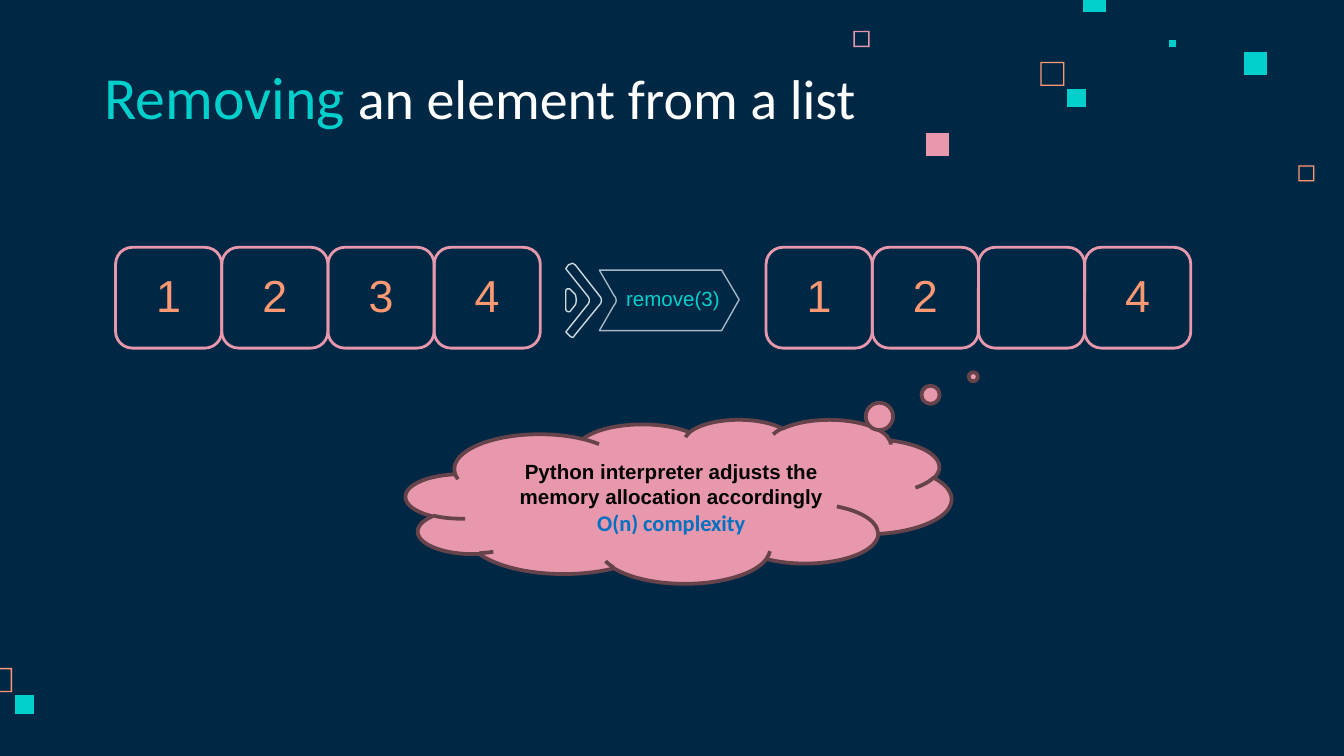
from dataclasses import dataclass

from lxml import etree
from pptx import Presentation
from pptx import util as u
from pptx.dml.color import RGBColor
from pptx.enum import shapes, text

# The page is a square grid: 100 columns by 56.25 rows
COLUMNS, ROWS = 100, 56.25
UNIT = u.Inches(0.1)
CELL_WIDTH, CELL_HEIGHT, CELL_TOP = 7.9, 7.5, 18.4
CURVE_STEPS = 8


@dataclass(frozen=True)
class Theme:
    navy: str = "002845"
    teal: str = "00CFCC"
    pink: str = "E898AC"
    orange: str = "FF9973"
    white: str = "FFFFFF"
    black: str = "000000"
    blue: str = "0070C0"
    plum: str = "66434B"
    pale: str = "CFD9E0"
    steel: str = "A5B7C5"
    heading: str = "Calibri"
    body: str = "Arial"
    title_size: float = 30
    accent_size: float = 32
    number_size: float = 24
    note_size: float = 11
    complexity_size: float = 12


THEME = Theme()


def grid(*lengths):
    return [round(length * UNIT) for length in lengths]


def paint(shape, fill=None, line=None, weight=0.75):
    shape.shadow.inherit = False
    if fill:
        shape.fill.solid()
        shape.fill.fore_color.rgb = RGBColor.from_string(fill)
    else:
        shape.fill.background()
    if line:
        shape.line.color.rgb = RGBColor.from_string(line)
        shape.line.width = u.Pt(weight)
    else:
        shape.line.fill.background()


def add_span(para, words, size, color, font, bold=False):
    span = para.add_run()
    span.text = words
    span.font.size = u.Pt(size)
    span.font.color.rgb = RGBColor.from_string(color)
    span.font.name = font
    span.font.bold = bold


def add_box(page, left, top, width, height, align=text.PP_ALIGN.LEFT):
    box = page.shapes.add_textbox(*grid(left, top, width, height))
    box.text_frame.word_wrap = True
    para = box.text_frame.paragraphs[0]
    para.alignment = align
    return box.text_frame, para


def curve_points(start, curve):
    """Points along a cubic curve, given as two controls and an end."""
    points = (start, *curve)
    for step in range(1, CURVE_STEPS + 1):
        t = step / CURVE_STEPS
        weights = ((1 - t) ** 3, 3 * t * (1 - t) ** 2, 3 * t * t * (1 - t), t ** 3)
        yield tuple(sum(w * p[axis] for w, p in zip(weights, points)) for axis in (0, 1))


def add_outline(page, contours, **style):
    """Closed contours; a step is a point or a curve of three points."""
    builder = None
    for start, *steps in contours:
        points = [start]
        for step in steps:
            points += curve_points(points[-1], step) if len(step) == 3 else [step]
        if builder is None:
            builder = page.shapes.build_freeform(*grid(*start))
        else:
            builder.move_to(*grid(*start))
        builder.add_line_segments([grid(*point) for point in points[1:]], close=True)
    paint(builder.convert_to_shape(), **style)


def add_square(page, left, top, side, color, hollow):
    right, bottom = left + side, top + side
    contours = [[(left, top), (left, bottom), (right, bottom), (right, top)]]
    if hollow:
        rim = 0.1
        contours.append([(left + rim, top + rim), (right - rim, top + rim),
                         (right - rim, bottom - rim), (left + rim, bottom - rim)])
    add_outline(page, contours, fill=color)


def add_list(page, left, values):
    for index, value in enumerate(values):
        x = left + index * CELL_WIDTH
        cell = page.shapes.add_shape(shapes.MSO_SHAPE.ROUNDED_RECTANGLE,
                                     *grid(x, CELL_TOP, CELL_WIDTH, CELL_HEIGHT))
        paint(cell, line=THEME.pink, weight=1.5)
        if value:
            frame, para = add_box(page, x + 0.9, CELL_TOP + 1, 6.1, 5,
                                  text.PP_ALIGN.CENTER)
            frame.auto_size = text.MSO_AUTO_SIZE.SHAPE_TO_FIT_TEXT
            add_span(para, value, THEME.number_size, THEME.orange, THEME.body)


def add_squares(page):
    for square in (
        (96.6, 12.3, 1.2, THEME.orange, True),
        (63.5, 2.3, 1.2, THEME.pink, True),
        (77.4, 4.6, 1.8, THEME.orange, True),
        (87, 3, 0.5, THEME.teal, False),
        (80.6, -0.8, 1.7, THEME.teal, False),
        (92.6, 3.9, 1.7, THEME.teal, False),
        (79.4, 6.6, 1.4, THEME.teal, False),
        (68.9, 9.9, 1.7, THEME.pink, False),
        (-0.9, 49.7, 1.8, THEME.orange, True),
        (1.1, 51.7, 1.4, THEME.teal, False),
    ):
        add_square(page, *square)


def add_title(page):
    frame, para = add_box(page, 6.8, 4.5, 64, 6.3)
    frame.margin_top = frame.margin_bottom = u.Inches(0.1)
    frame.vertical_anchor = text.MSO_ANCHOR.BOTTOM
    add_span(para, "Removing", THEME.accent_size, THEME.teal, THEME.heading)
    add_span(para, " an element from a list", THEME.title_size, THEME.white, THEME.heading)


def add_operation(page):
    # Large chevron
    add_outline(page, [[
        (42.6, 19.6), ((42.5, 19.6), (42.4, 19.7), (42.3, 19.7)), (42.1, 20),
        (43.7, 22), ((43.9, 22.2), (43.9, 22.5), (43.7, 22.7)), (42.1, 24.7),
        (42.3, 24.9), ((42.4, 25), (42.5, 25.1), (42.6, 25.1)),
        ((42.7, 25.1), (42.7, 25), (42.8, 24.9)), (44.6, 22.7),
        ((44.8, 22.5), (44.8, 22.2), (44.6, 22)), (42.8, 19.7),
        ((42.7, 19.7), (42.7, 19.6), (42.6, 19.6))]], line=THEME.pale)
    # Small arrow tip
    add_outline(page, [[
        (42.3, 21.5), ((42.2, 21.5), (42.1, 21.5), (42.1, 21.7)), (42.1, 23),
        ((42.1, 23.1), (42.2, 23.2), (42.3, 23.2)),
        ((42.4, 23.2), (42.4, 23.2), (42.4, 23.2)), (42.8, 22.7),
        ((42.9, 22.5), (42.9, 22.2), (42.8, 21.9)), (42.4, 21.5),
        ((42.4, 21.5), (42.4, 21.5), (42.3, 21.5))]], line=THEME.pale)
    # Banner with the call
    add_outline(page, [[
        (44.6, 20.1), (45.7, 22), ((45.9, 22.2), (45.9, 22.5), (45.7, 22.7)),
        (44.6, 24.6), (53.7, 24.6), (55, 22.3), (53.7, 20.1)]], line=THEME.steel)
    frame, para = add_box(page, 45.6, 20.8, 10, 2.9)
    frame.auto_size = text.MSO_AUTO_SIZE.SHAPE_TO_FIT_TEXT
    add_span(para, "remove(3)", THEME.note_size, THEME.teal, THEME.body)


def add_cloud(page):
    cloud = page.shapes.add_shape(shapes.MSO_SHAPE.CLOUD_CALLOUT,
                                  *grid(30.2, 31.2, 40.6, 12.2))
    cloud.adjustments[0], cloud.adjustments[1] = 0.54, -0.76
    paint(cloud, fill=THEME.pink, line=THEME.plum, weight=2)
    frame = cloud.text_frame
    frame.word_wrap = True
    frame.vertical_anchor = text.MSO_ANCHOR.MIDDLE
    para = frame.paragraphs[0]
    para.alignment = text.PP_ALIGN.CENTER
    para._p.get_or_add_pPr().set("marL", str(u.Inches(0.18)))
    add_span(para, "Python interpreter adjusts the memory allocation accordingly",
             THEME.note_size, THEME.black, THEME.body, bold=True)
    para.add_line_break()
    add_span(para, "O(n) complexity", THEME.complexity_size, THEME.blue,
             THEME.heading, bold=True)


def main():
    deck = Presentation()
    deck.slide_width, deck.slide_height = grid(COLUMNS, ROWS)
    page = deck.slides.add_slide(deck.slide_layouts[6])
    page.background.fill.solid()
    page.background.fill.fore_color.rgb = RGBColor.from_string(THEME.navy)

    # Decoration and title
    add_squares(page)
    add_title(page)
    # List before, operation, list after
    add_list(page, 8.6, ["1", "2", "3", "4"])
    add_operation(page)
    add_list(page, 57, ["1", "2", None, "4"])
    # Remark on cost
    add_cloud(page)
    deck.save("out.pptx")


if __name__ == "__main__":
    main()
